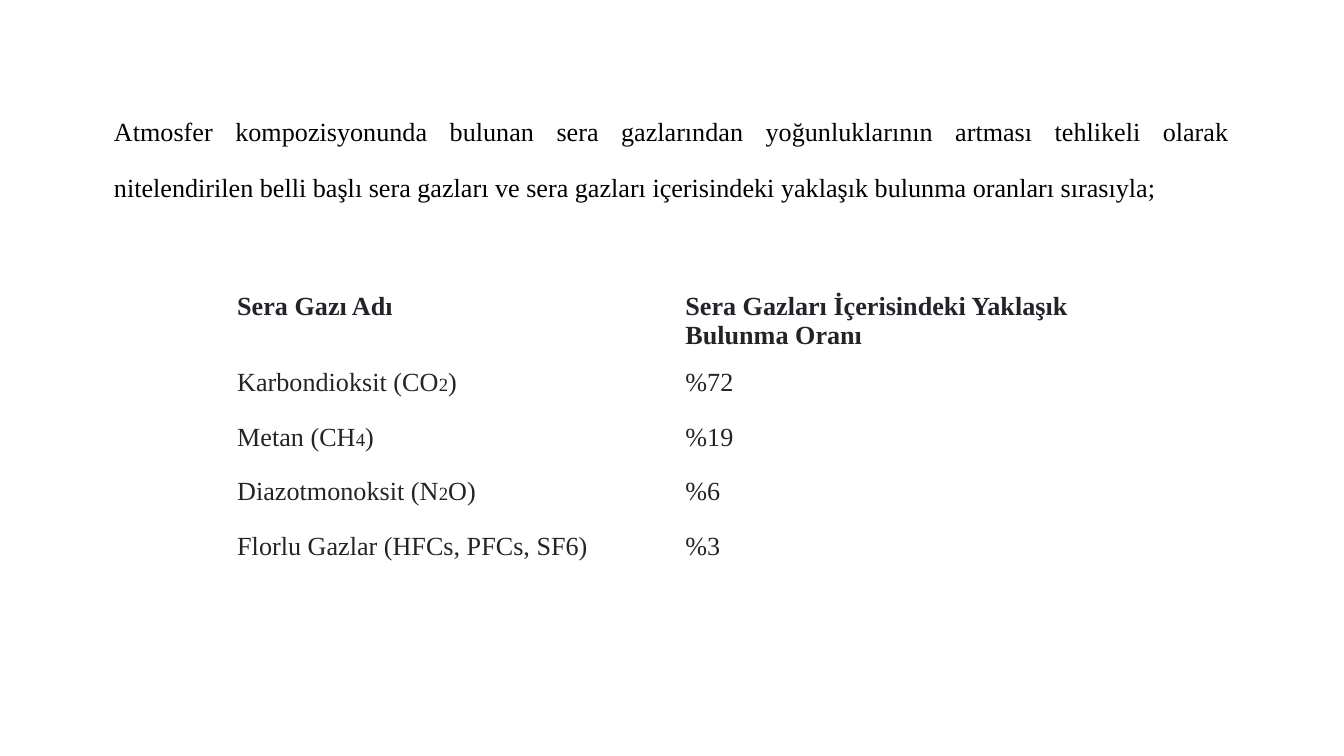
import dataclasses

import pptx
import pptx.dml.color
import pptx.enum.text
import pptx.util

PX = 4572  # EMU per px, 200 px to the inch


@dataclasses.dataclass(frozen=True)
class Theme:
    face: str = "Times New Roman"
    body: int = 14
    sub: int = 10
    black: str = "000000"
    dark: str = "212529"


THEME = Theme()

INTRO = (
    "Atmosfer kompozisyonunda bulunan sera gazlarından yoğunluklarının "
    "artması tehlikeli olarak nitelendirilen belli başlı sera gazları ve "
    "sera gazları içerisindeki yaklaşık bulunma oranları sırasıyla;"
)

# Each cell is a list of runs; every second run is a small index
ROWS = [
    (["Sera Gazı Adı"], ["Sera Gazları İçerisindeki Yaklaşık Bulunma Oranı"]),
    (["Karbondioksit (CO", "2", ")"], ["%72"]),
    (["Metan (CH", "4", ")"], ["%19"]),
    (["Diazotmonoksit (N", "2", "O)"], ["%6"]),
    (["Florlu Gazlar (HFCs, PFCs, SF6)"], ["%3"]),
]
HEIGHTS = [113, 81, 81, 81, 68]


def px(*vals):
    return [pptx.util.Emu(val * PX) for val in vals]


def write(para, text, size=THEME.body, color=THEME.dark, bold=False):
    run = para.add_run()
    run.text = text
    font = run.font
    font.name = THEME.face
    font.size = pptx.util.Pt(size)
    font.bold = bold
    font.color.rgb = pptx.dml.color.RGBColor.from_string(color)


def add_text(slide, box, text):
    frame = slide.shapes.add_textbox(*px(*box)).text_frame
    frame.word_wrap = True
    frame.vertical_anchor = pptx.enum.text.MSO_ANCHOR.MIDDLE
    pad, = px(20)
    frame.margin_left = frame.margin_right = pad
    frame.margin_top = frame.margin_bottom = pad
    para = frame.paragraphs[0]
    para.alignment = pptx.enum.text.PP_ALIGN.JUSTIFY
    para.line_spacing = 1.8
    para.space_after = pptx.util.Pt(12)
    write(para, text, color=THEME.black)


def add_grid(slide, left, top, width, rows, heights):
    count = len(rows[0])
    box = px(left, top, width, sum(heights))
    table = slide.shapes.add_table(len(rows), count, *box).table
    table.horz_banding = False
    table.first_row = False
    for row, height in zip(table.rows, px(*heights)):
        row.height = height
    for r, row in enumerate(rows):
        for c, parts in enumerate(row):
            cell = table.cell(r, c)
            cell.fill.background()
            para = cell.text_frame.paragraphs[0]
            for i, part in enumerate(parts):
                size = THEME.sub if i % 2 else THEME.body
                write(para, part, size=size, bold=r == 0)


def main():
    deck = pptx.Presentation()
    deck.slide_width, deck.slide_height = px(2000, 1125)
    slide = deck.slides.add_slide(deck.slide_layouts[6])

    # Opening sentence
    add_text(slide, (150, 110, 1700, 217), INTRO)

    # Gases and their shares
    add_grid(slide, 333, 425, 1334, ROWS, HEIGHTS)

    deck.save("out.pptx")


if __name__ == "__main__":
    main()
